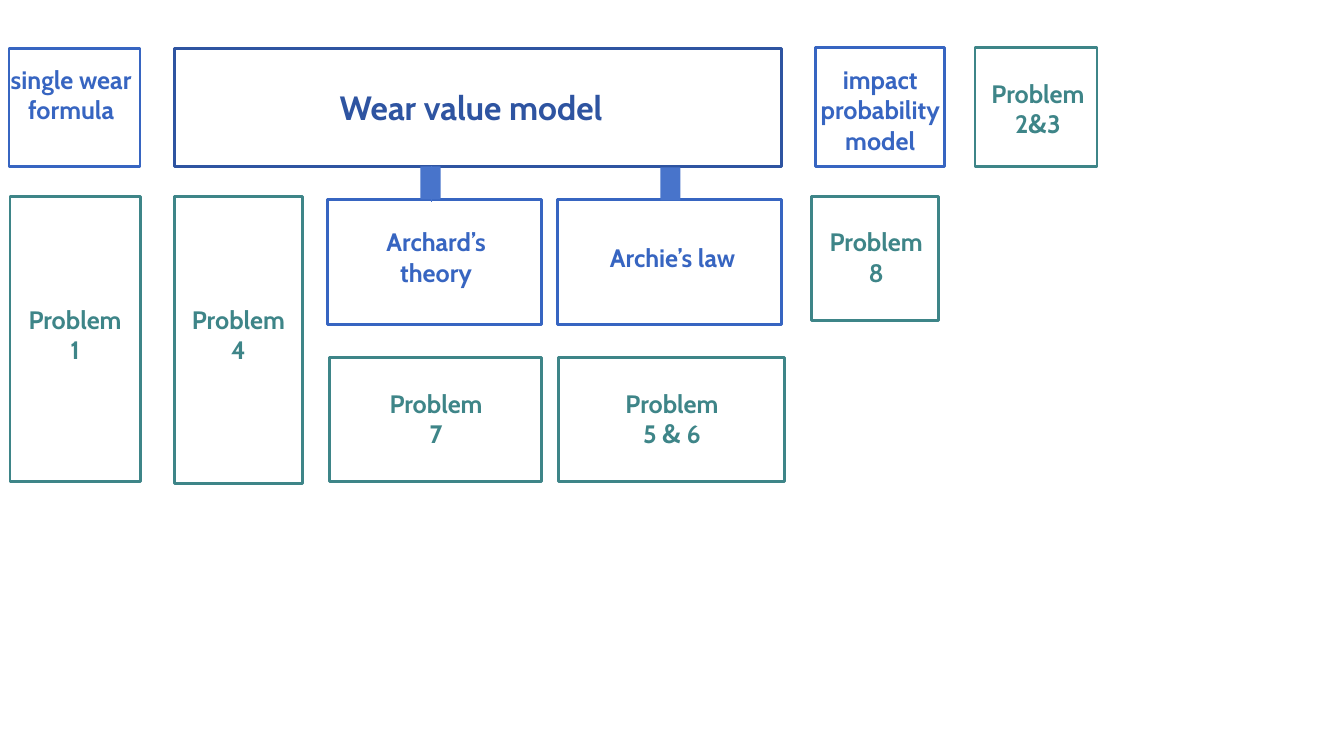
from dataclasses import dataclass

from lxml import etree
from pptx import Presentation
from pptx.dml.color import RGBColor
from pptx.enum import shapes, text
from pptx.oxml.ns import qn
from pptx.util import Inches, Pt


@dataclass(frozen=True)
class Theme:
    font: str = "Cabin"
    ampersand_font: str = "Noto Sans CJK SC"
    title: RGBColor = RGBColor(0x2E, 0x54, 0xA1)
    model: RGBColor = RGBColor(0x37, 0x65, 0xC1)
    problem: RGBColor = RGBColor(0x3E, 0x85, 0x88)
    link: RGBColor = RGBColor(0x48, 0x74, 0xCB)
    title_size: int = 24
    label_size: int = 18
    frame_width: int = 2
    link_width: int = 1


@dataclass(frozen=True)
class Area:
    left: float
    top: float
    width: float
    height: float

    def lengths(self) -> list[int]:
        return [Inches(side) for side in (self.left, self.top, self.width, self.height)]


@dataclass(frozen=True)
class Card:
    frame: Area
    label: Area
    lines: tuple[str, ...]
    color: RGBColor
    size: int = Theme.label_size
    align: text.PP_ALIGN = text.PP_ALIGN.CENTER


THEME = Theme()


def problem(number: str, frame: Area, label: Area) -> Card:
    return Card(frame, label, ("Problem", number), THEME.problem)


def model(frame: Area, label: Area, *lines: str) -> Card:
    return Card(frame, label, lines, THEME.model)


CARDS = [
    Card(Area(1.73, 0.48, 6.02, 1.17), Area(3.27, 0.81, 3.72, 0.5),
         ("Wear value model",), THEME.title, THEME.title_size, text.PP_ALIGN.LEFT),
    model(Area(0.09, 0.48, 1.3, 1.17), Area(-0.02, 0.59, 1.45, 1.04), "single wear formula"),
    model(Area(8.09, 0.47, 1.28, 1.18), Area(7.84, 0.59, 1.78, 1.01),
          "impact probability", "model"),
    model(Area(3.25, 1.98, 2.12, 1.24), Area(3.58, 2.2, 1.49, 0.84), "Archard’s theory"),
    model(Area(5.53, 1.98, 2.22, 1.24), Area(5.59, 2.35, 2.16, 0.95), "Archie’s law"),
    problem("1", Area(0.1, 1.95, 1.29, 2.83), Area(0.08, 2.97, 1.33, 1.31)),
    problem("2&3", Area(9.67, 0.47, 1.21, 1.18), Area(9.27, 0.73, 2.05, 0.71)),
    problem("4", Area(1.73, 1.95, 1.27, 2.85), Area(1.34, 2.97, 2.05, 0.71)),
    problem("5 & 6", Area(5.54, 3.55, 2.24, 1.23), Area(5.64, 3.8, 2.05, 0.71)),
    problem("7", Area(3.27, 3.55, 2.1, 1.23), Area(3.3, 3.8, 2.05, 0.71)),
    problem("8", Area(8.05, 1.95, 1.26, 1.23), Area(7.91, 2.2, 1.56, 0.71)),
]
LINK_BARS = [Area(4.17, 1.65, 0.2, 0.33), Area(6.55, 1.66, 0.2, 0.33)]


def add_rectangle(page, area: Area):
    box = page.shapes.add_shape(shapes.MSO_SHAPE.RECTANGLE, *area.lengths())
    box.shadow.inherit = False
    return box


def add_frame(page, card: Card) -> None:
    box = add_rectangle(page, card.frame)
    box.fill.background()
    box.line.color.rgb = card.color
    box.line.width = Pt(THEME.frame_width)


def add_spans(para, line: str) -> None:
    """Write a line, giving its ampersand a font of its own."""
    for part in line.partition("&"):
        if part:
            span = para.add_run()
            span.text = part
            if part == "&":
                span.font.name = THEME.ampersand_font


def add_label(page, card: Card) -> None:
    frame = page.shapes.add_textbox(*card.label.lengths()).text_frame
    frame.word_wrap = True
    for index, line in enumerate(card.lines):
        para = frame.add_paragraph() if index else frame.paragraphs[0]
        para.alignment = card.align
        para.font.name = THEME.font
        para.font.size = Pt(card.size)
        para.font.bold = True
        para.font.color.rgb = card.color
        add_spans(para, line)


def add_link_line(page) -> None:
    x = Inches(4.28)
    line = page.shapes.add_connector(
        shapes.MSO_CONNECTOR.STRAIGHT, x, Inches(1.65), x, Inches(2))
    line.line.color.rgb = THEME.link
    line.line.width = Pt(THEME.link_width)
    etree.SubElement(line._element.spPr, qn("a:effectLst"))


def add_link_bar(page, area: Area) -> None:
    bar = add_rectangle(page, area)
    bar.fill.solid()
    bar.fill.fore_color.rgb = THEME.link
    bar.line.fill.background()


def main() -> None:
    deck = Presentation()
    deck.slide_width, deck.slide_height = Inches(13.33), Inches(7.5)
    page = deck.slides.add_slide(deck.slide_layouts[6])
    for card in CARDS:
        add_frame(page, card)
        add_label(page, card)
    add_link_line(page)
    for area in LINK_BARS:
        add_link_bar(page, area)
    deck.save("out.pptx")


if __name__ == "__main__":
    main()
